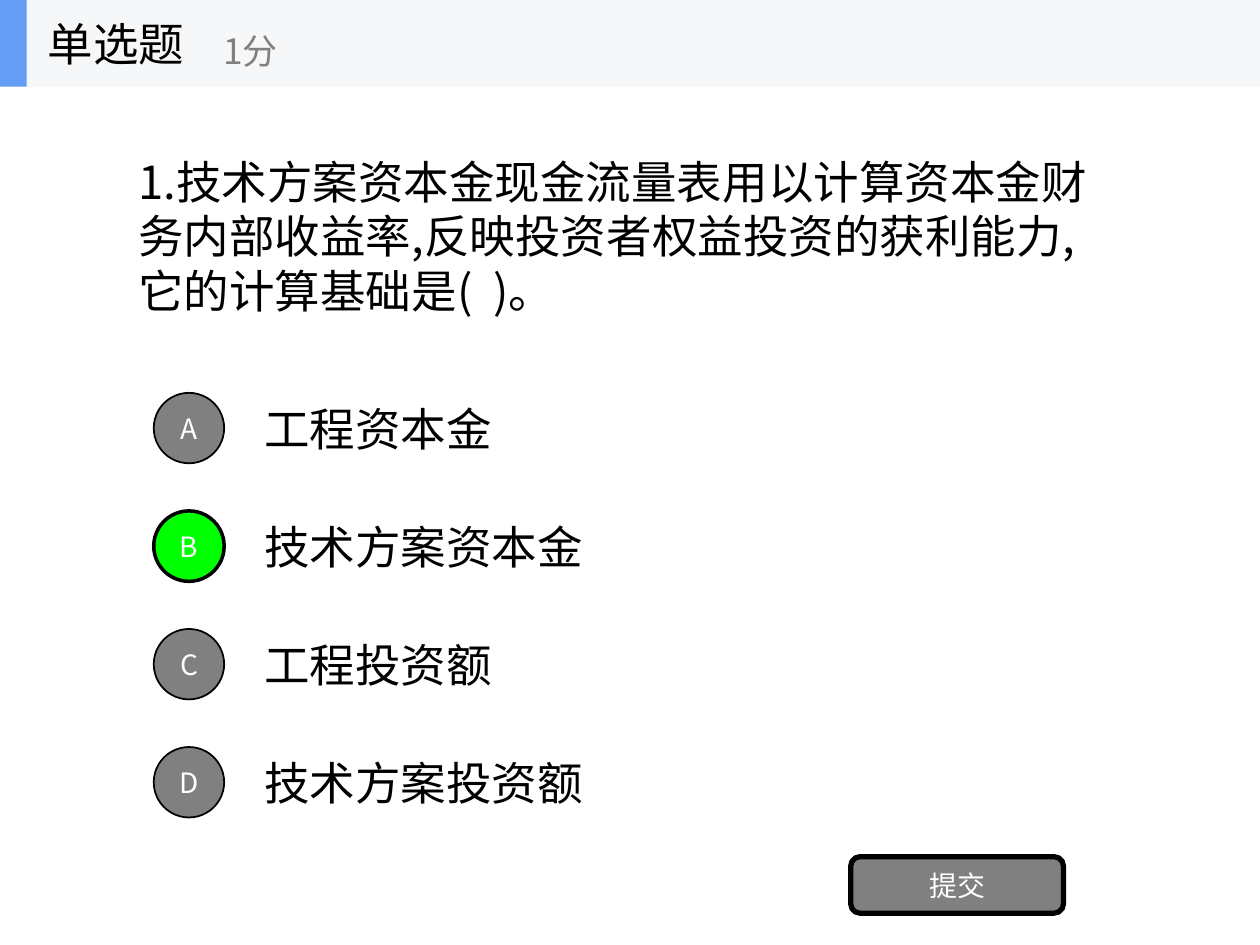
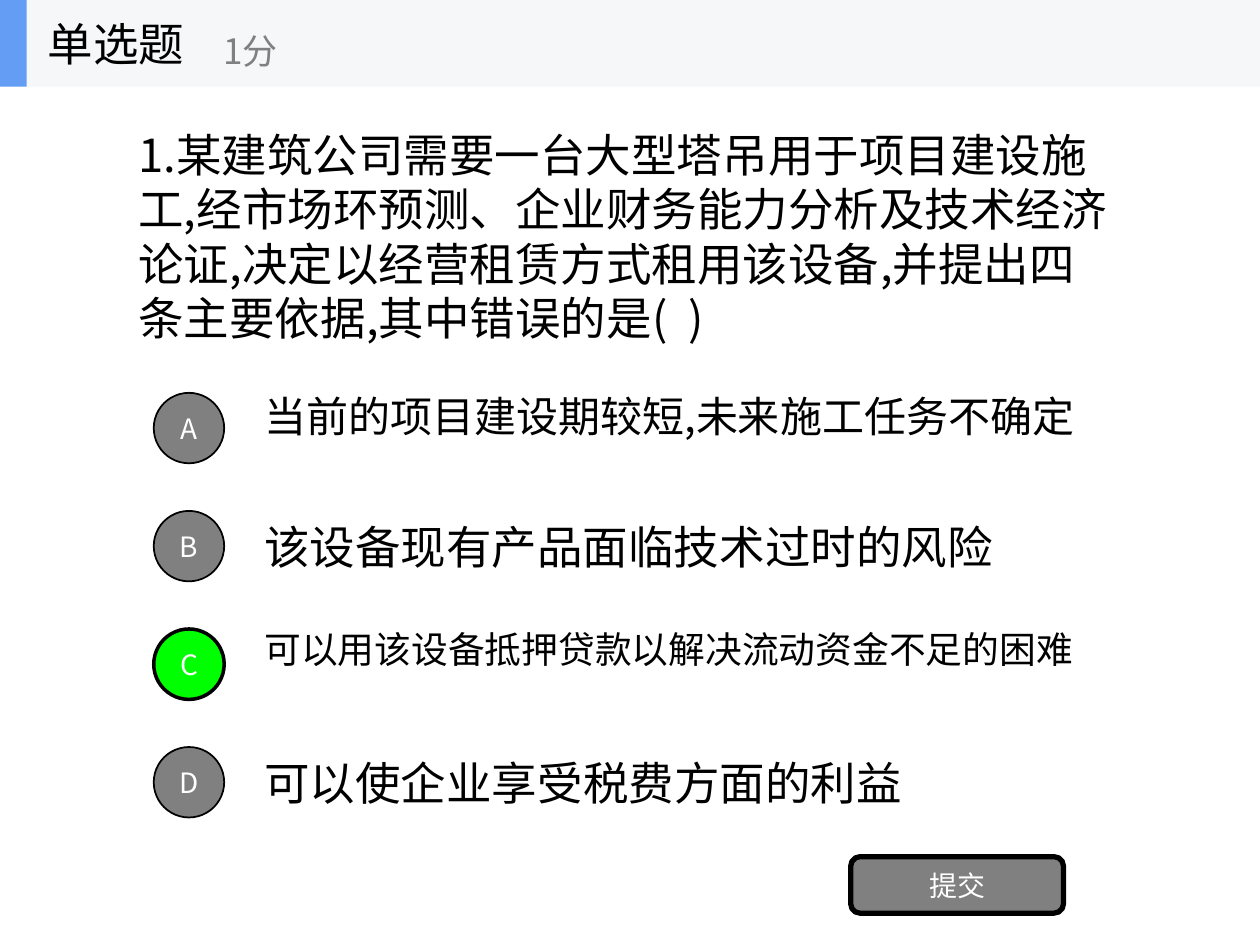
from pptx import Presentation
from pptx import util as u
from pptx.dml.color import RGBColor
from pptx.enum import shapes, text
from pptx.oxml import ns, xmlchemy

BLACK = RGBColor(0x00, 0x00, 0x00)
WHITE = RGBColor(0xFF, 0xFF, 0xFF)
GRAY = RGBColor(0x80, 0x80, 0x80)
GREEN = RGBColor(0x00, 0xFF, 0x00)
BAND = RGBColor(0xF6, 0xF7, 0xF8)
ACCENT = RGBColor(0x63, 0x9E, 0xF4)

FONT = "Noto Sans CJK SC"
BODY_SIZE = 26
BUTTON_SIZE = 16
SCORE_SIZE = 20
SLIDE_WIDTH = 25.4
SLIDE_HEIGHT = 19.05
HEADER_HEIGHT = 1.75
QUESTION_MIDDLE = 4.75
FIRST_OPTION = 7.92
OPTION_STEP = 2.38
CIRCLE_SIZE = 1.42

QUESTIONS = [
    {
        "question": "1.技术方案资本金现金流量表用以计算资本金财务内部收益率,"
                    "反映投资者权益投资的获利能力,它的计算基础是(  )。",
        "lines": 3,
        "options": [
            ("工程资本金", BODY_SIZE),
            ("技术方案资本金", BODY_SIZE),
            ("工程投资额", BODY_SIZE),
            ("技术方案投资额", BODY_SIZE),
        ],
        "answer": "B",
    },
    {
        "question": "1.某建筑公司需要一台大型塔吊用于项目建设施工,"
                    "经市场环预测、企业财务能力分析及技术经济论证,"
                    "决定以经营租赁方式租用该设备,并提出四条主要依据,"
                    "其中错误的是(  )",
        "lines": 4,
        "options": [
            ("当前的项目建设期较短,未来施工任务不确定", 24),
            ("该设备现有产品面临技术过时的风险", BODY_SIZE),
            ("可以用该设备抵押贷款以解决流动资金不足的困难", 21),
            ("可以使企业享受税费方面的利益", BODY_SIZE),
        ],
        "answer": "C",
    },
]


def text_height(size, lines=1):
    return u.Pt(size * 1.2 * lines).cm + 0.25


def text_width(label, size):
    return u.Pt(size * (len(label) - label.count(",") / 2)).cm + 0.78


class QuizDeck:
    def __init__(self):
        self.presentation = Presentation()
        self.presentation.slide_width = u.Cm(SLIDE_WIDTH)
        self.presentation.slide_height = u.Cm(SLIDE_HEIGHT)
        self.slide = None

    def add_slide(self):
        self.slide = self.presentation.slides.add_slide(self.presentation.slide_layouts[6])

    def set_text(self, shape, words, size, color, alignment=text.PP_ALIGN.LEFT):
        frame = shape.text_frame
        frame.text = words
        frame.word_wrap = True
        frame.vertical_anchor = text.MSO_ANCHOR.MIDDLE
        paragraph = frame.paragraphs[0]
        paragraph.alignment = alignment
        for run in paragraph.runs:
            run.font.size = u.Pt(size)
            run.font.name = FONT
            run.font.color.rgb = color
            east_asian = xmlchemy.OxmlElement("a:ea")
            east_asian.set("typeface", FONT)
            run.font._element.find(ns.qn("a:latin")).addnext(east_asian)

    def text_box(self, box, words, size=BODY_SIZE, color=BLACK, parent=None, grow=False):
        shape = (parent or self.slide).shapes.add_textbox(*map(u.Cm, box))
        self.set_text(shape, words, size, color)
        if grow:
            shape.text_frame.auto_size = text.MSO_AUTO_SIZE.SHAPE_TO_FIT_TEXT

    def filled_shape(self, kind, box, fill, line_width=0, parent=None):
        shape = (parent or self.slide).shapes.add_shape(kind, *map(u.Cm, box))
        shape.shadow.inherit = False
        shape.fill.solid()
        shape.fill.fore_color.rgb = fill
        if line_width:
            shape.line.color.rgb = BLACK
            shape.line.width = u.Pt(line_width)
        else:
            shape.line.fill.background()
        return shape

    def button(self, kind, box, words, fill, line_width):
        shape = self.filled_shape(kind, box, fill, line_width)
        self.set_text(shape, words, BUTTON_SIZE, WHITE, text.PP_ALIGN.CENTER)

    def header(self):
        group = self.slide.shapes.add_group_shape()
        for width, fill in ((SLIDE_WIDTH, BAND), (0.54, ACCENT)):
            self.filled_shape(shapes.MSO_SHAPE.RECTANGLE, (0, 0, width, HEADER_HEIGHT),
                              fill, parent=group)
        self.text_box((0.71, 0, 5.28, HEADER_HEIGHT), "单选题", parent=group)
        self.text_box((4.25, 0.3, 6.35, 1.42), "1分", SCORE_SIZE, GRAY, group)

    def question(self, words, lines):
        height = text_height(BODY_SIZE, lines)
        self.text_box((2.54, QUESTION_MIDDLE - height / 2, 20.22, height), words, grow=True)

    def option(self, index, letter, label, size, correct):
        top = FIRST_OPTION + index * OPTION_STEP
        label_top = top + 0.03 if size == BODY_SIZE else top - 0.18
        self.text_box((5.08, label_top, text_width(label, size), text_height(size)),
                      label, size, grow=True)
        self.button(shapes.MSO_SHAPE.OVAL, (3.1, top, CIRCLE_SIZE, CIRCLE_SIZE), letter,
                    GREEN if correct else GRAY, 2 if correct else 1)

    def quiz(self, question, lines, options, answer):
        self.add_slide()
        self.question(question, lines)
        for index, (letter, (label, size)) in enumerate(zip("ABCD", options)):
            self.option(index, letter, label, size, letter == answer)
        self.button(shapes.MSO_SHAPE.ROUNDED_RECTANGLE, (17.15, 17.27, 4.29, 1.14),
                    "提交", GRAY, 3)
        self.header()


def main():
    deck = QuizDeck()
    for entry in QUESTIONS:
        deck.quiz(**entry)
    deck.presentation.save("out.pptx")


if __name__ == "__main__":
    main()
